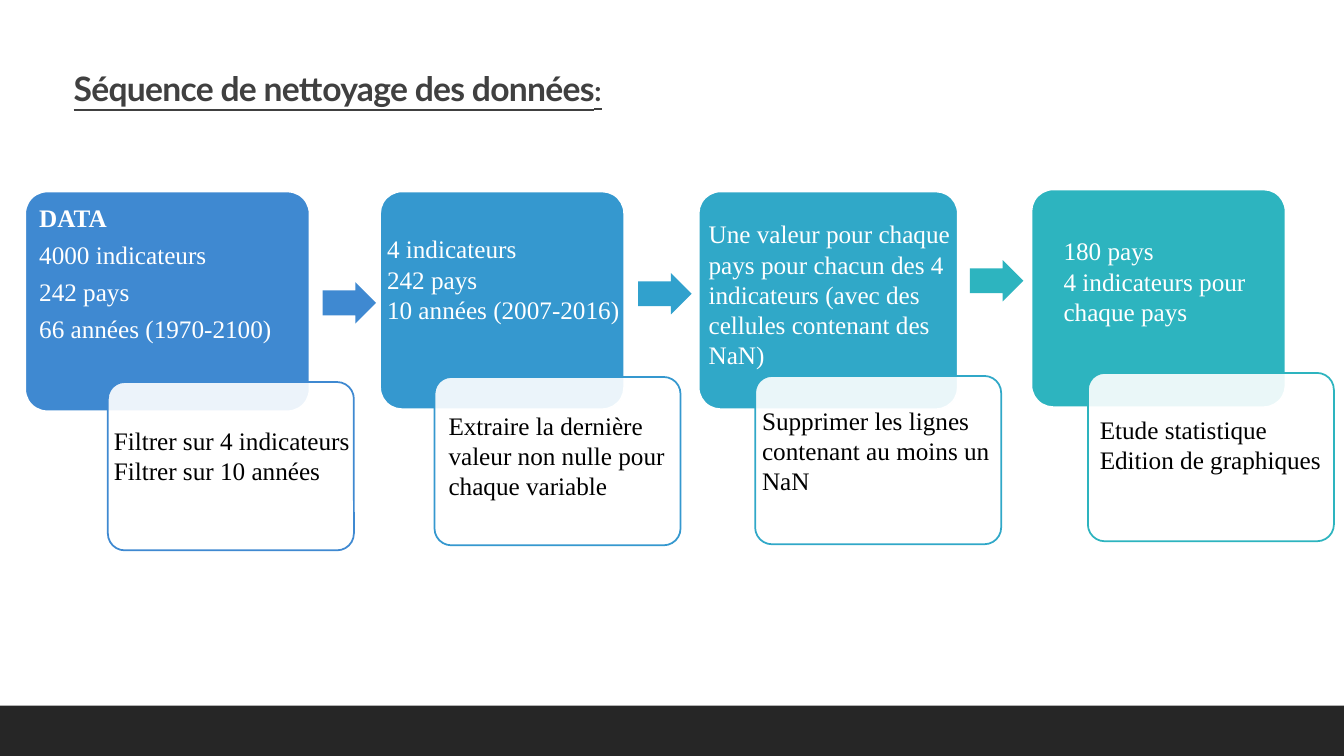
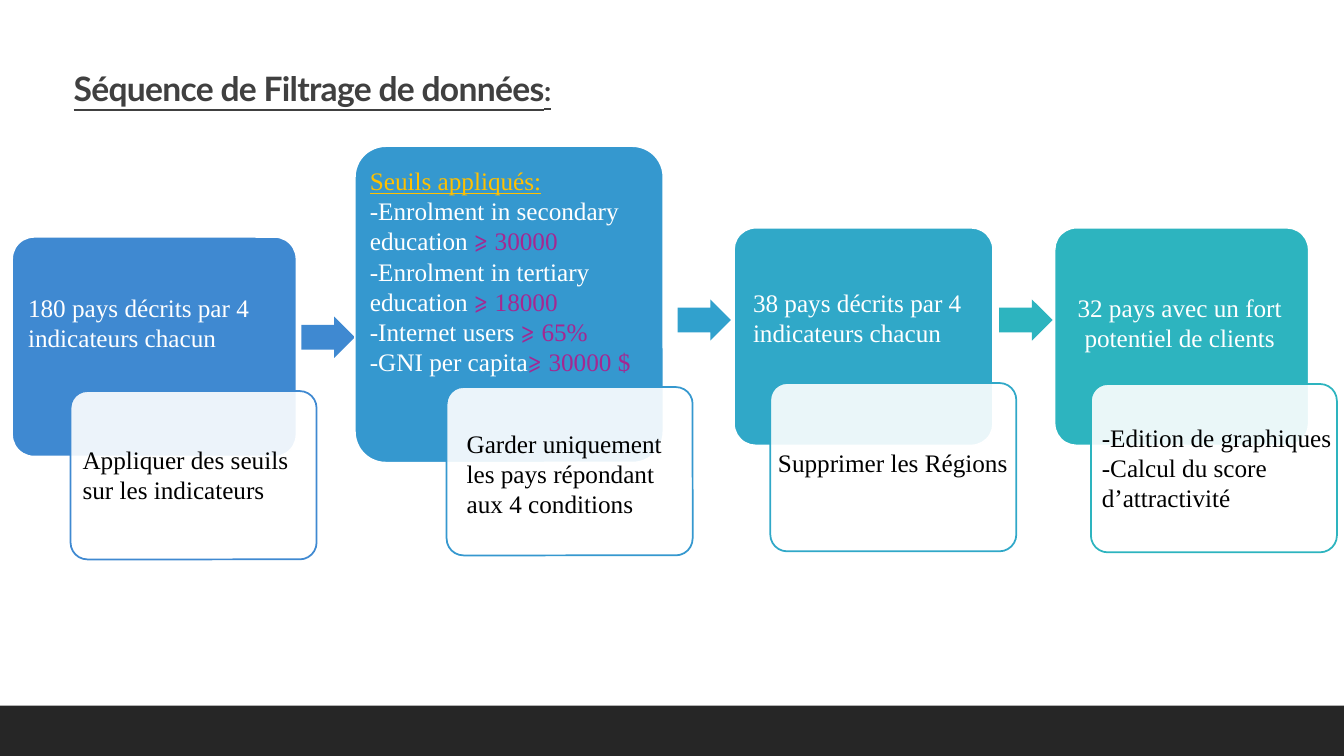
from dataclasses import dataclass

from lxml import etree
from pptx import Presentation, util as u
from pptx.dml.color import RGBColor
from pptx.enum import shapes, text
from pptx.oxml import ns


@dataclass(frozen=True)
class Theme:
    steps: tuple = ("3F89D1", "3598CF", "30A8C8", "2DB4BF")
    arrows: tuple = ("3F89D1", "31A1CD", "2DB4BF")
    white: str = "FFFFFF"
    ink: str = "000000"
    title: str = "404040"
    band: str = "262626"
    heading: str = "FFC000"
    threshold: str = "A52791"
    title_font: str = "Lato"
    body_font: str = "Times New Roman"
    title_size: int = 24
    colon_size: int = 20
    body_size: int = 18
    line: float = 1.25


theme = Theme()
rgb = RGBColor.from_string
CARD_SIZE = (2.44, 1.67)
ARROW_SIZE = (0.53, 0.41)

# Each step: box (left, top, width, height), its text (left, top, width),
# card (left, top), its text (left, top, width)
sequences = [
    {
        "title": "Séquence de nettoyage des données",
        "arrows": [(3.2, 2.8), (6.33, 2.71), (9.62, 2.58)],
        "steps": [
            ((0.25, 1.9, 2.82, 2.18), (0.29, 1.99, 2.82),
             ["DATA", "4000 indicateurs", "242 pays", "66 années (1970-2100)"],
             (1.07, 3.79), (1.03, 4.17, 2.62),
             ["Filtrer sur 4 indicateurs", "Filtrer sur 10 années"]),
            ((3.77, 1.9, 2.42, 2.16), (3.74, 2.27, 2.91),
             ["4 indicateurs", "242 pays", "10 années (2007-2016)"],
             (4.31, 3.74), (4.35, 4.02, 2.42),
             ["Extraire la dernière valeur non nulle pour chaque variable"]),
            ((6.93, 1.9, 2.57, 2.16), (6.93, 2.12, 2.91),
             ["Une valeur pour chaque pays pour chacun des 4 indicateurs "
              "(avec des cellules contenant des NaN)"],
             (7.49, 3.73), (7.46, 3.97, 2.57),
             ["Supprimer les lignes contenant au moins un NaN"]),
            ((10.23, 1.88, 2.52, 2.16), (10.45, 2.29, 2.52),
             ["180 pays", "4 indicateurs pour chaque pays"],
             (10.79, 3.7), (10.81, 4.06, 2.44),
             ["Etude statistique", "Edition de graphiques"]),
        ],
    },
    {
        "title": "Séquence de Filtrage de données",
        "arrows": [(2.99, 3.14), (6.72, 2.97), (9.91, 2.97)],
        "steps": [
            ((0.12, 2.35, 2.82, 2.18), (0.18, 2.85, 2.74),
             ["180 pays décrits par 4 indicateurs chacun"],
             (0.7, 3.88), (0.72, 4.36, 2.51),
             ["Appliquer des seuils sur les indicateurs"]),
            ((3.52, 1.45, 3.06, 3.14), (3.57, 1.59, 3.36),
             ["Seuils appliqués:",
              "-Enrolment in secondary education ⩾ 30000",
              "-Enrolment in tertiary education ⩾ 18000",
              "-Internet users ⩾ 65%",
              "-GNI per capita⩾ 30000 $"],
             (4.43, 3.84), (4.53, 4.2, 2.42),
             ["Garder uniquement les pays répondant aux 4 conditions"]),
            ((7.28, 2.26, 2.57, 2.16), (7.37, 2.8, 2.91),
             ["38 pays décrits par 4 indicateurs chacun"],
             (7.64, 3.8), (7.57, 4.39, 2.57),
             ["Supprimer les Régions"]),
            ((10.46, 2.26, 2.52, 2.16), (10.44, 2.85, 2.52),
             ["32 pays avec un fort potentiel de clients"],
             (10.82, 3.81), (10.83, 4.14, 2.54),
             ["-Edition de graphiques", "-Calcul du score d’attractivité"]),
        ],
    },
]
centred = {"Supprimer les Régions", "32 pays avec un fort potentiel de clients"}


def add_block(slide, kind, place, fill, line=None):
    block = slide.shapes.add_shape(kind, *map(u.Inches, place))
    block.shadow.inherit = False
    block.fill.solid()
    block.fill.fore_color.rgb = rgb(fill)
    if line:
        block.line.color.rgb = rgb(line)
        block.line.width = u.Pt(theme.line)
    else:
        block.line.fill.background()
    return block


def add_lines(slide, place, lines, color):
    left, top, width = place
    frame = slide.shapes.add_textbox(
        *map(u.Inches, (left, top, width, 0.3 * len(lines) + 0.1))).text_frame
    frame.word_wrap = True
    for number, line in enumerate(lines):
        paragraph = frame.paragraphs[0] if number == 0 else frame.add_paragraph()
        paragraph.font.name = theme.body_font
        paragraph.font.size = u.Pt(theme.body_size)
        paragraph.font.color.rgb = rgb(color)
        if line in centred:
            paragraph.alignment = text.PP_ALIGN.CENTER
        # Thresholds stand out from their label
        label, sign, value = line.partition("⩾")
        paragraph.add_run().text = label
        if sign:
            limit = paragraph.add_run()
            limit.text = sign + value
            limit.font.color.rgb = rgb(theme.threshold)
    return frame.paragraphs


deck = Presentation()
deck.slide_width, deck.slide_height = u.Inches(13.33), u.Inches(7.5)

for sequence in sequences:
    slide = deck.slides.add_slide(deck.slide_layouts[5])

    # Bottom band
    add_block(slide, shapes.MSO_SHAPE.RECTANGLE, (0, 7, 13.33, 0.5), theme.band)

    # Title
    title = slide.shapes.title
    title.left, title.top = u.Inches(0.63), u.Inches(0.67)
    title.width, title.height = u.Inches(10.97), u.Inches(0.72)
    title.text_frame.vertical_anchor = text.MSO_ANCHOR.TOP
    title.text_frame.auto_size = text.MSO_AUTO_SIZE.NONE
    heading = title.text_frame.paragraphs[0]
    heading.alignment = text.PP_ALIGN.LEFT
    heading.line_spacing = 0.9
    heading.font.name = theme.title_font
    heading.font.bold = heading.font.underline = True
    heading.font.color.rgb = rgb(theme.title)
    for words, size in ((sequence["title"], theme.title_size), (":", theme.colon_size)):
        run = heading.add_run()
        run.text = words
        run.font.size = u.Pt(size)
        run.font._element.set("spc", "-50")

    # Arrows between steps
    for place, color in zip(sequence["arrows"], theme.arrows):
        arrow = add_block(slide, shapes.MSO_SHAPE.RIGHT_ARROW, place + ARROW_SIZE, color)
        arrow.adjustments[0], arrow.adjustments[1] = 0.6, 0.5

    # Steps: state of the data, then the action on a card
    for step, color in zip(sequence["steps"], theme.steps):
        box_place, state_place, state, card_place, action_place, action = step
        box = add_block(slide, shapes.MSO_SHAPE.ROUNDED_RECTANGLE, box_place,
                        color, theme.white)
        card = add_block(slide, shapes.MSO_SHAPE.ROUNDED_RECTANGLE,
                         card_place + CARD_SIZE, theme.white, color)
        box.adjustments[0] = card.adjustments[0] = 0.1
        tint = card._element.spPr.find(ns.qn("a:solidFill"))[0]
        etree.SubElement(tint, ns.qn("a:alpha"), val="90000")

        state_lines = add_lines(slide, state_place, state, theme.white)
        add_lines(slide, action_place, action, theme.ink)
        if state[0] == "DATA":
            state_lines[0].font.bold = True
            for paragraph in state_lines:
                paragraph.line_spacing = 0.9
                paragraph.space_after = u.Pt(7)
        elif state[0].startswith("Seuils"):
            state_lines[0].font.underline = True
            state_lines[0].font.color.rgb = rgb(theme.heading)

deck.save("out.pptx")
